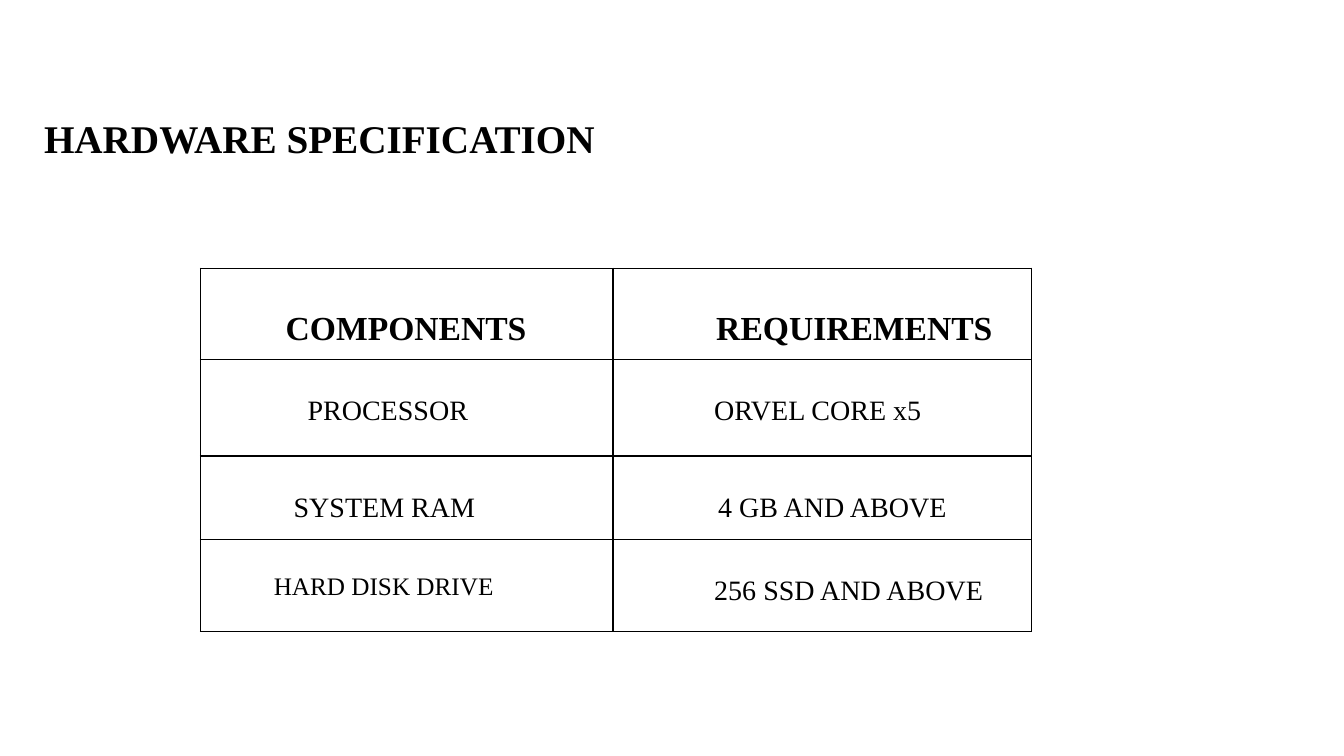
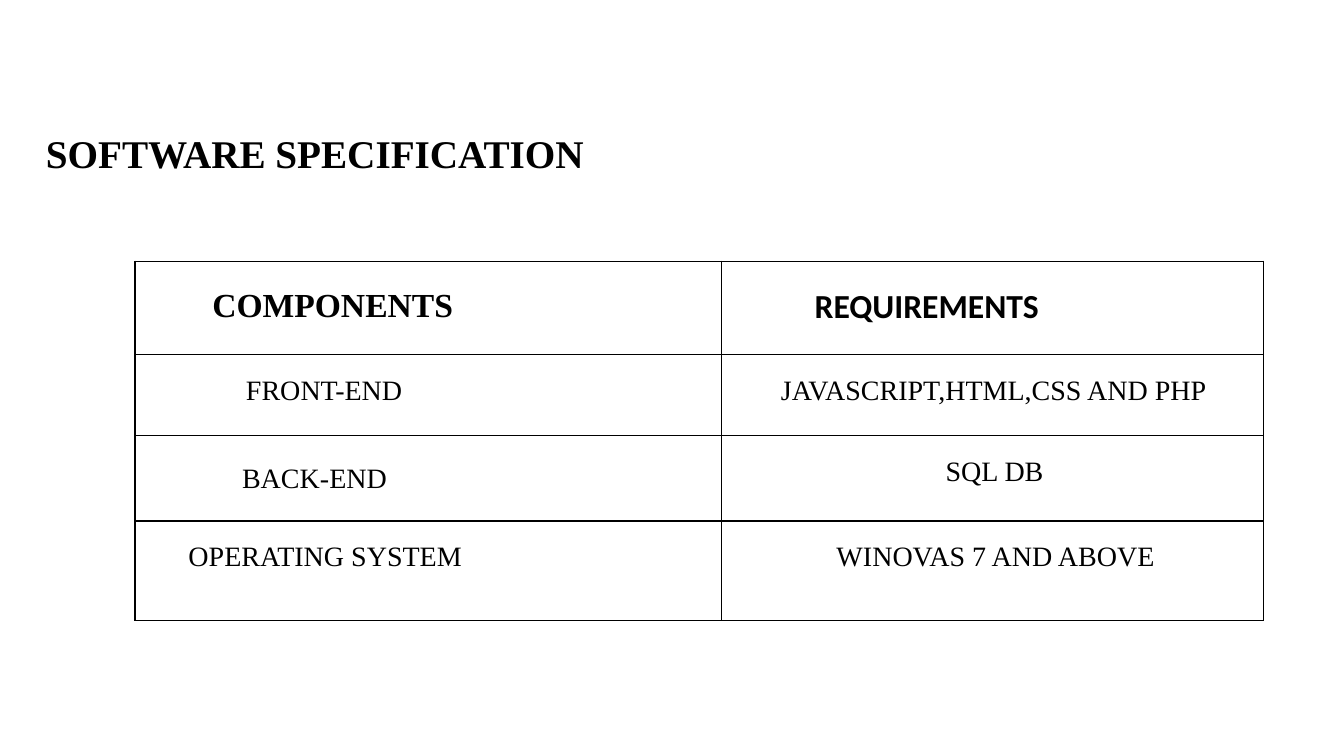
from lxml import etree
from pptx import Presentation
from pptx.dml.color import RGBColor
from pptx.enum import text
from pptx.oxml import ns
from pptx.util import Cm, Pt

BLACK = RGBColor(0, 0, 0)
WHITE = RGBColor(255, 255, 255)
SERIF = "Times New Roman"
SANS = "Calibri"
HEAD, BODY, SMALL = 24, 20, 18
PAD = 0.13

# Each cell: wording, indent in cm, then any settings that differ.
HARD = [
    [("COMPONENTS", 2.15), ("REQUIREMENTS", 2.6)],
    [("PROCESSOR", 2.7), ("ORVEL CORE x5", 2.55)],
    [("SYSTEM RAM", 2.35), ("4 GB AND ABOVE", 2.65)],
    [("HARD DISK DRIVE", 1.85, {"size": SMALL}), ("256 SSD AND ABOVE", 2.55)],
]
SOFT = [
    [("COMPONENTS", 1.95, {"top": 0.2}), ("REQUIREMENTS", 2.35, {"font": SANS})],
    [("FRONT-END", 2.8), ("JAVASCRIPT,HTML,CSS AND PHP", 1.5)],
    [("BACK-END", 2.7), ("SQL DB", 5.65, {"top": PAD})],
    [("OPERATING SYSTEM", 1.35), ("WINOVAS 7 AND ABOVE", 2.9)],
]
SOFT[2][0] += ({"top": 0.33},)


def style(para, size, bold, gap, font=SERIF):
    para.line_spacing = gap
    for run in para.runs:
        run.font.name = font
        run.font.size = Pt(size)
        run.font.bold = bold
        run.font.color.rgb = BLACK


def title(slide, box, words):
    frame = slide.shapes.add_textbox(*map(Cm, box)).text_frame
    frame.word_wrap = True
    frame.vertical_anchor = text.MSO_ANCHOR.BOTTOM
    frame.text = words
    style(frame.paragraphs[0], 28, True, 0.9)


def border(cell):
    """Draw a thin black line on all four sides."""
    props = cell._tc.get_or_add_tcPr()
    for spot, side in enumerate("LRTB"):
        line = etree.Element(ns.qn("a:ln" + side), w=str(Pt(1)))
        fill = etree.SubElement(line, ns.qn("a:solidFill"))
        etree.SubElement(fill, ns.qn("a:srgbClr"), val=str(BLACK))
        props.insert(spot, line)


def fill_cell(cell, head, gap, words, indent, extra=None):
    look = {"size": HEAD if head else BODY, "font": SERIF, "top": PAD}
    look.update(extra or {})
    cell.fill.solid()
    cell.fill.fore_color.rgb = WHITE
    cell.margin_left = Cm(indent)
    cell.margin_right = Cm(PAD)
    cell.margin_top = Cm(look["top"])
    cell.text_frame.text = words
    style(cell.text_frame.paragraphs[0], look["size"], head, gap, look["font"])
    border(cell)


def grid(slide, left, top, wide, high, gap, data):
    table = slide.shapes.add_table(
        len(high), len(wide), Cm(left), Cm(top), Cm(sum(wide)), Cm(sum(high))
    ).table
    for col, size in zip(table.columns, wide):
        col.width = Cm(size)
    for row, size in zip(table.rows, high):
        row.height = Cm(size)
    for r, line in enumerate(data):
        for c, item in enumerate(line):
            fill_cell(table.cell(r, c), r == 0, gap, *item)


def main():
    deck = Presentation()
    deck.slide_width, deck.slide_height = Cm(33.87), Cm(19.05)
    blank = deck.slide_layouts[6]

    slide = deck.slides.add_slide(blank)
    title(slide, (0.86, 1.14, 25.12, 3.07), "HARDWARE SPECIFICATION")
    grid(slide, 5.05, 6.76, (10.4, 10.54), (2.08, 2.44, 2.11, 2.31), 2.0, HARD)

    slide = deck.slides.add_slide(blank)
    title(slide, (0.91, 0.91, 29.21, 3.68), "SOFTWARE SPECIFICATION")
    grid(slide, 3.4, 6.58, (14.78, 13.67), (2.36, 2.03, 2.16, 2.51), 1.5, SOFT)

    deck.save("out.pptx")


if __name__ == "__main__":
    main()
